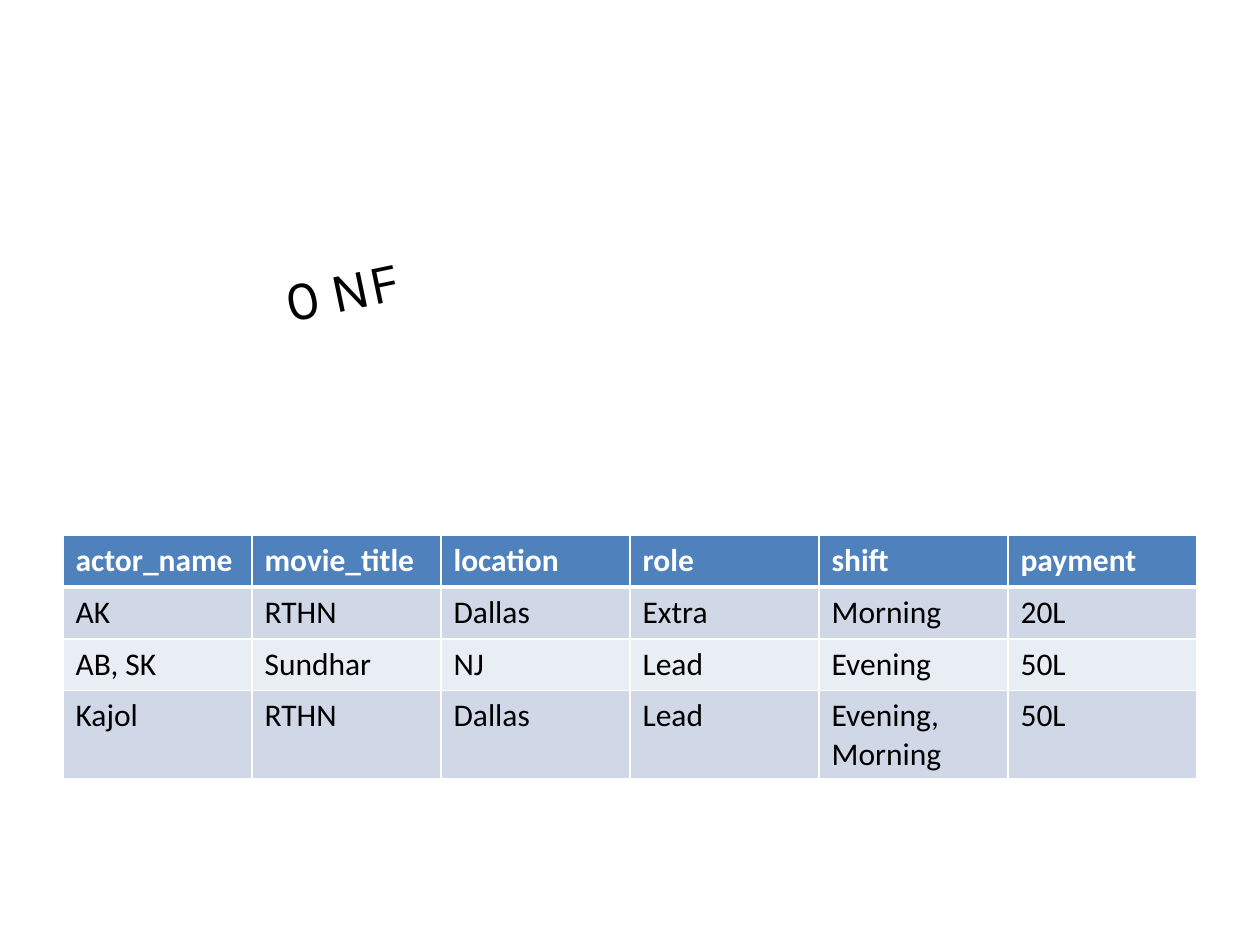
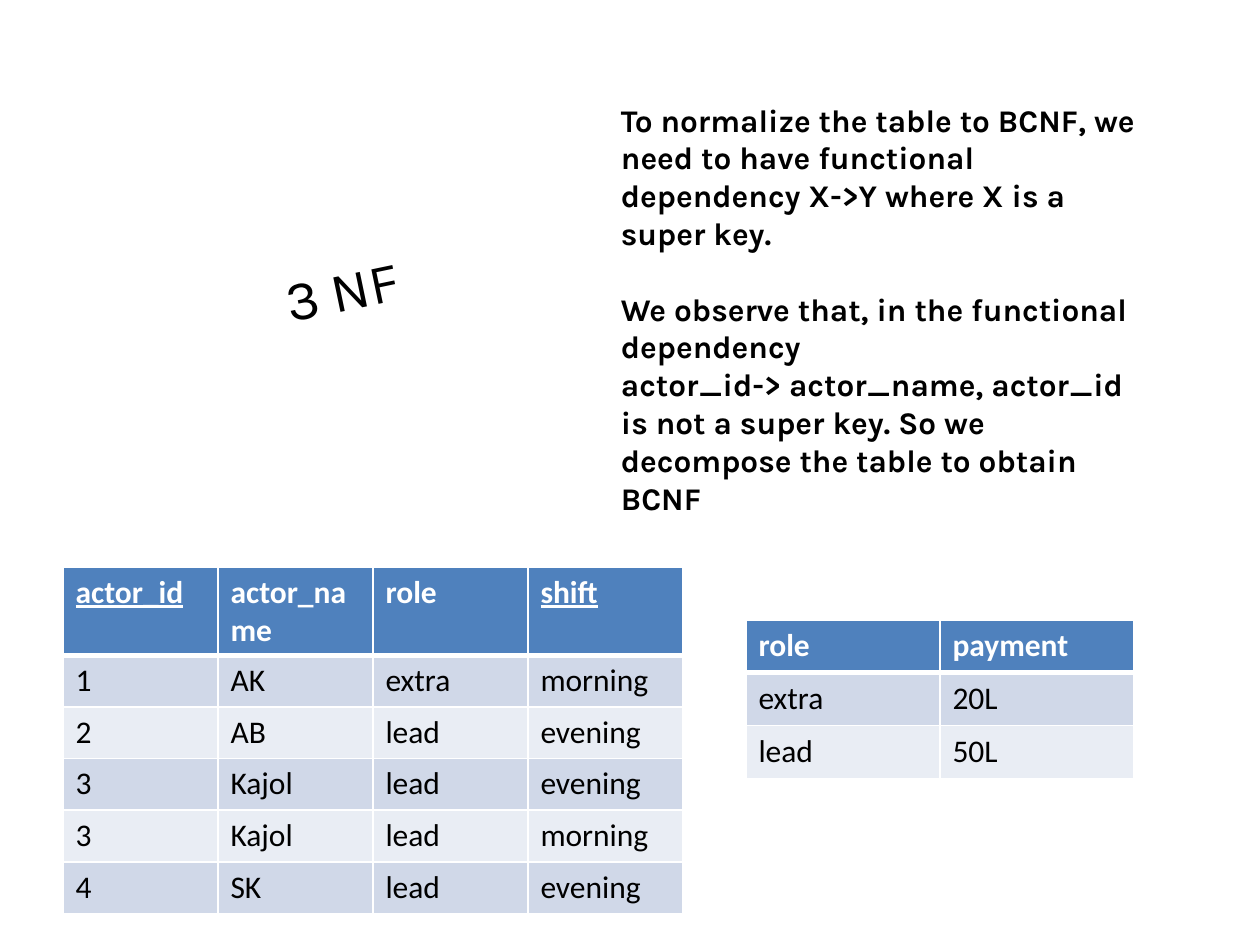
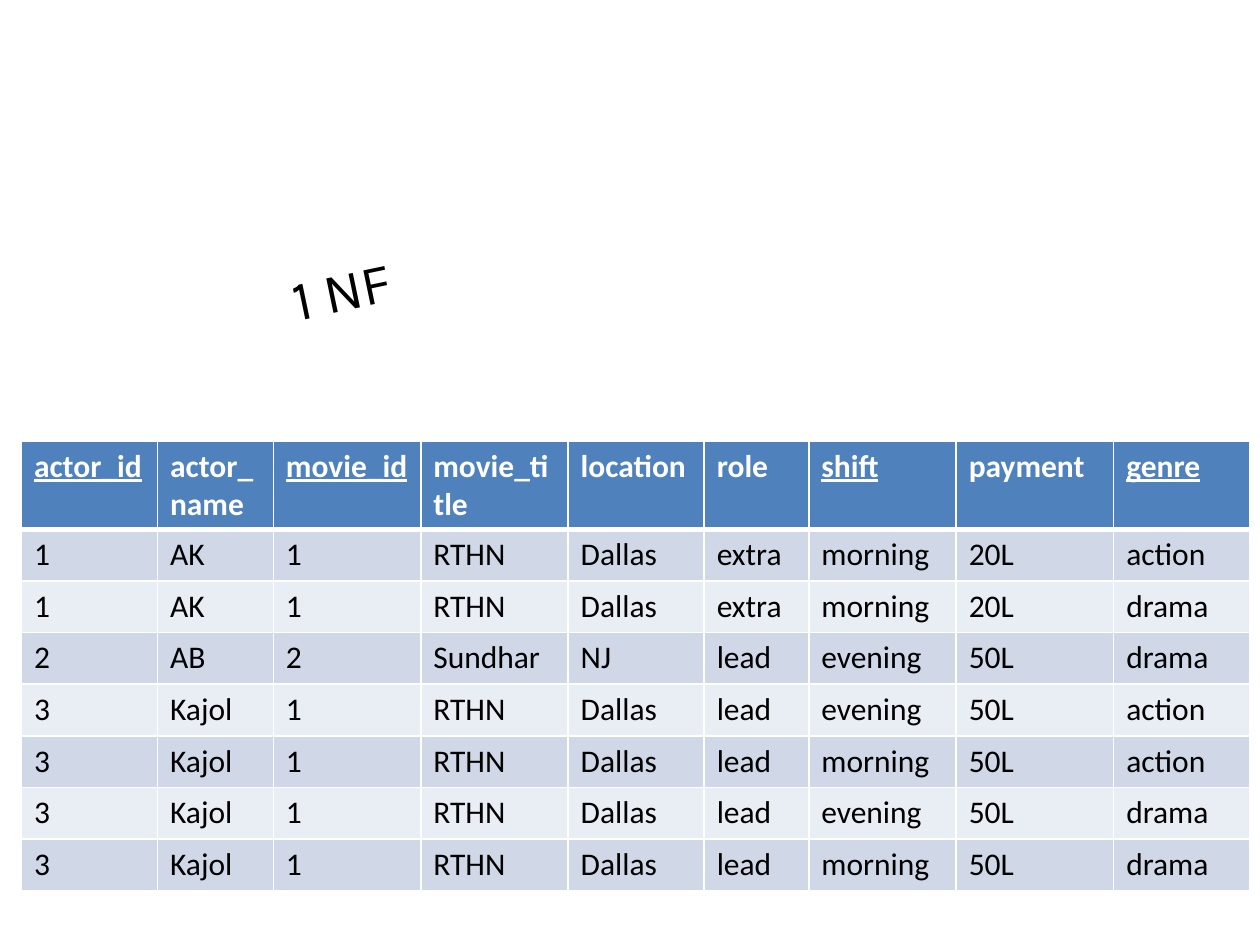
from lxml import etree
from pptx import Presentation
from pptx.dml.color import RGBColor
from pptx.enum.text import MSO_ANCHOR, PP_ALIGN
from pptx.oxml.ns import qn
from pptx.util import Inches, Pt

# Shared look
BLACK = RGBColor(0x00, 0x00, 0x00)
WHITE = RGBColor(0xFF, 0xFF, 0xFF)
HEAD = RGBColor(0x4F, 0x81, 0xBD)
BANDS = (RGBColor(0xD0, 0xD8, 0xE8), RGBColor(0xE9, 0xED, 0xF4))
TEXT_FONT = "Karla"
TABLE_FONT = "Calibri"
TILT = 348.2

# Slide content
RAW = [
    ("actor_name", "movie_title", "location", "role", "shift", "payment"),
    ("AK", "RTHN", "Dallas", "Extra", "Morning", "20L"),
    ("AB, SK", "Sundhar", "NJ", "Lead", "Evening", "50L"),
    ("Kajol", "RTHN", "Dallas", "Lead", "Evening, Morning", "50L"),
]
ACTORS = [
    ("actor_id", "actor_name", "role", "shift"),
    ("1", "AK", "extra", "morning"),
    ("2", "AB", "lead", "evening"),
    ("3", "Kajol", "lead", "evening"),
    ("3", "Kajol", "lead", "morning"),
    ("4", "SK", "lead", "evening"),
]
PAY = [("role", "payment"), ("extra", "20L"), ("lead", "50L")]
FIRST = [
    ("actor_id", "actor_name", "movie_id", "movie_title", "location",
     "role", "shift", "payment", "genre"),
    ("1", "AK", "1", "RTHN", "Dallas", "extra", "morning", "20L", "action"),
    ("1", "AK", "1", "RTHN", "Dallas", "extra", "morning", "20L", "drama"),
    ("2", "AB", "2", "Sundhar", "NJ", "lead", "evening", "50L", "drama"),
    ("3", "Kajol", "1", "RTHN", "Dallas", "lead", "evening", "50L", "action"),
    ("3", "Kajol", "1", "RTHN", "Dallas", "lead", "morning", "50L", "action"),
    ("3", "Kajol", "1", "RTHN", "Dallas", "lead", "evening", "50L", "drama"),
    ("3", "Kajol", "1", "RTHN", "Dallas", "lead", "morning", "50L", "drama"),
]
FIRST_COLS = (1.08, 0.92, 1.17, 1.17, 1.08, 0.83, 1.17, 1.25, 1.08)
# Each line of the note with the space before it, in points
NOTE = [
    ("To normalize the table to BCNF, we need to have functional "
     "dependency X->Y where X is a super key.", 0),
    ("We observe that, in the functional dependency", 21.6),
    ("actor_id-> actor_name, actor_id is not a super key. So we "
     "decompose the table to obtain BCNF", 0),
]


def style(para, name, size, color, bold=False, line=False):
    for run in para.runs:
        font = run.font
        font.name, font.size, font.bold = name, Pt(size), bold
        font.underline = line
        font.color.rgb = color


def add_box(slide, left, top, width, height):
    box = slide.shapes.add_textbox(
        Inches(left), Inches(top), Inches(width), Inches(height))
    box.text_frame.word_wrap = True
    return box


def add_page(deck, title):
    """Add a blank slide with its tilted title."""
    slide = deck.slides.add_slide(deck.slide_layouts[6])
    box = add_box(slide, 1.42, 1.67, 2.58, 1.25)
    box.rotation = TILT
    frame = box.text_frame
    frame.text = title
    frame.vertical_anchor = MSO_ANCHOR.MIDDLE
    para = frame.paragraphs[0]
    para.alignment = PP_ALIGN.CENTER
    style(para, TEXT_FONT, 32, BLACK)
    return slide


def add_note(slide, lines):
    frame = add_box(slide, 4.83, 0.75, 4.33, 3.43).text_frame
    for num, (text, gap) in enumerate(lines):
        para = frame.add_paragraph() if num else frame.paragraphs[0]
        para.text = text
        if gap:
            para.space_before = Pt(gap)
        style(para, TEXT_FONT, 18, BLACK, bold=True)


def add_edge(cell, side, points):
    props = cell._tc.get_or_add_tcPr()
    line = etree.SubElement(props, qn("a:ln" + side), w=str(Pt(points)))
    fill = etree.SubElement(line, qn("a:solidFill"))
    etree.SubElement(fill, qn("a:srgbClr"), val=str(WHITE))


def fill_cell(cell, text, row, key):
    """Write one cell; row 0 is the header, whose lower edge is thick."""
    head = row == 0
    edges = {"L": 1, "R": 1, "T": 3 if row == 1 else 1, "B": 3 if head else 1}
    for side, points in edges.items():
        add_edge(cell, side, points)
    cell.fill.solid()
    cell.fill.fore_color.rgb = HEAD if head else BANDS[(row - 1) % 2]
    cell.text_frame.text = text
    style(cell.text_frame.paragraphs[0], TABLE_FONT, 18,
          WHITE if head else BLACK, bold=head, line=head and key)


def add_grid(slide, rows, left, top, widths, height=0.41, keys=()):
    """Add a banded table; the names in keys are underlined in the header."""
    table = slide.shapes.add_table(
        len(rows), len(widths), Inches(left), Inches(top),
        Inches(sum(widths)), Inches(height * len(rows))).table
    for col, width in zip(table.columns, widths):
        col.width = Inches(width)
    for num, row in enumerate(rows):
        table.rows[num].height = Inches(height)
        for pos, text in enumerate(row):
            fill_cell(table.cell(num, pos), text, num, text in keys)


def main():
    deck = Presentation()
    deck.slide_width, deck.slide_height = Inches(10), Inches(7.5)

    # Unnormalized table
    slide = add_page(deck, "0 NF")
    add_grid(slide, RAW, 0.5, 4.25, [1.5] * 6)

    # Third normal form
    slide = add_page(deck, "3 NF")
    add_grid(slide, ACTORS, 0.5, 4.5, [1.23] * 4, keys=("actor_id", "shift"))
    add_grid(slide, PAY, 5.92, 4.92, [1.54] * 2, height=0.42)
    add_note(slide, NOTE)

    # First normal form
    slide = add_page(deck, "1 NF")
    add_grid(slide, FIRST, 0.17, 3.5, FIRST_COLS,
             keys=("actor_id", "movie_id", "shift", "genre"))

    deck.save("out.pptx")


if __name__ == "__main__":
    main()
